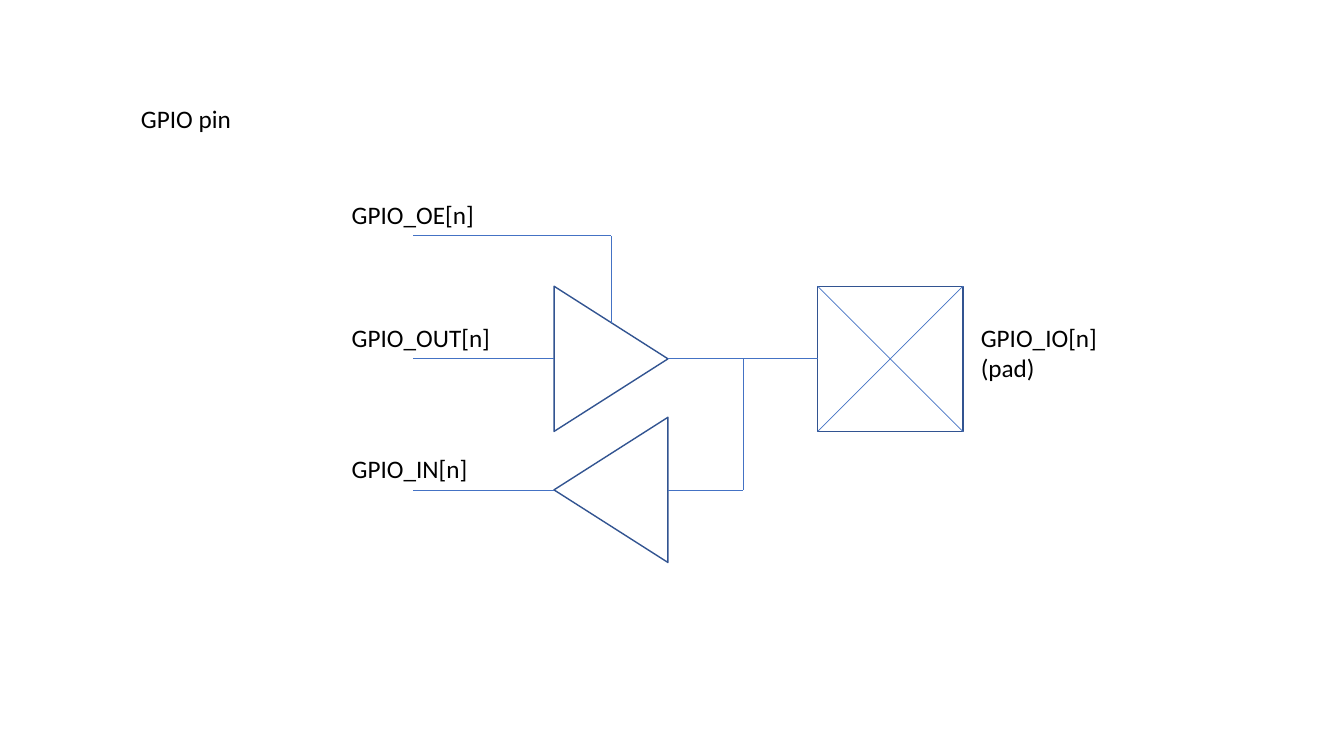
import dataclasses

import pptx
import pptx.dml.color
import pptx.enum.shapes
import pptx.enum.text
import pptx.oxml
import pptx.util

SHAPES = pptx.enum.shapes.MSO_SHAPE


@dataclasses.dataclass(frozen=True)
class Theme:
    """Colours, type and line sizes of the schematic."""
    font: str = "Calibri"
    label_size: float = 18
    ink: str = "000000"
    outline: str = "325491"
    wire: str = "4472C4"
    outline_width: float = 1
    wire_width: float = 0.5


class Schematic:
    """Draws on one slide, on a grid of tenth-inch columns and rows."""

    def __init__(self, slide, theme):
        self.slide, self.theme = slide, theme

    def cells(self, *counts):
        """Turn grid counts into lengths."""
        return [pptx.util.Inches(count / 10) for count in counts]

    def stroke(self, line, color, width):
        """Set the colour and width of a line."""
        line.color.rgb = pptx.dml.color.RGBColor.from_string(color)
        line.width = pptx.util.Pt(width)

    def symbol(self, kind, center, size, turn=0):
        """Add an unfilled shape around a centre."""
        (x, y), (width, height) = center, size
        shape = self.slide.shapes.add_shape(
            kind, *self.cells(x - width / 2, y - height / 2, width, height))
        shape.rotation = turn
        shape.shadow.inherit = False
        shape.fill.background()
        self.stroke(shape.line, self.theme.outline, self.theme.outline_width)

    def wire(self, *points):
        """Join successive points with straight connectors."""
        for start, end in zip(points, points[1:]):
            segment = self.slide.shapes.add_connector(
                pptx.enum.shapes.MSO_CONNECTOR.STRAIGHT, *self.cells(*start, *end))
            self.stroke(segment.line, self.theme.wire, self.theme.wire_width)
            segment._element.spPr.append(pptx.oxml.parse_xml(
                '<a:effectLst xmlns:a="http://schemas.openxmlformats.org/drawingml/2006/main"/>'))

    def label(self, left, top, width, *lines):
        """Add an unwrapped label with one paragraph per line."""
        height = 0.9 + 3.1 * len(lines)
        frame = self.slide.shapes.add_textbox(
            *self.cells(left, top, width, height)).text_frame
        frame.word_wrap = False
        frame.auto_size = pptx.enum.text.MSO_AUTO_SIZE.SHAPE_TO_FIT_TEXT
        for index, line in enumerate(lines):
            paragraph = frame.add_paragraph() if index else frame.paragraphs[0]
            run = paragraph.add_run()
            run.text = line
            run.font.name = self.theme.font
            run.font.size = pptx.util.Pt(self.theme.label_size)
            run.font.color.rgb = pptx.dml.color.RGBColor.from_string(self.theme.ink)


def main():
    """Build the GPIO pin schematic."""
    deck = pptx.Presentation()
    deck.slide_width = pptx.util.Inches(13.33)
    deck.slide_height = pptx.util.Inches(7.5)
    drawing = Schematic(deck.slides.add_slide(deck.slide_layouts[6]), Theme())

    enable_row, output_row, input_row = 23.4, 35.6, 48.6
    signal_start, buffer_center, junction, pad_center = 41, 60.6, 73.7, 88.3
    buffer_base, buffer_depth, pad_side = 14.4, 11.3, 14.4
    buffer_left = buffer_center - buffer_depth / 2
    buffer_right = buffer_center + buffer_depth / 2
    pad_left, pad_right = pad_center - pad_side / 2, pad_center + pad_side / 2
    pad_top, pad_bottom = output_row - pad_side / 2, output_row + pad_side / 2

    drawing.label(13, 9.8, 11, "GPIO pin")
    for row, turn in ((output_row, 90), (input_row, 270)):
        drawing.symbol(SHAPES.ISOSCELES_TRIANGLE, (buffer_center, row),
                       (buffer_base, buffer_depth), turn)
        drawing.wire((buffer_left, row), (signal_start, row))
    drawing.symbol(SHAPES.RECTANGLE, (pad_center, output_row), (pad_side, pad_side))

    drawing.wire((buffer_right, output_row), (pad_left, output_row))
    drawing.wire((buffer_right, input_row), (junction, input_row), (junction, output_row))
    drawing.wire((buffer_center, output_row - buffer_base / 4),
                 (buffer_center, enable_row), (signal_start, enable_row))
    drawing.wire((pad_left, pad_top), (pad_right, pad_bottom))
    drawing.wire((pad_left, pad_bottom), (pad_right, pad_top))

    for signal, row, width in (("GPIO_OE[n]", enable_row, 14.2),
                               ("GPIO_OUT[n]", output_row, 15.9),
                               ("GPIO_IN[n]", input_row, 13.6)):
        drawing.label(33.9, row - 4.1, width, signal)
    drawing.label(96.3, output_row - 4.1, 13.6, "GPIO_IO[n]", "(pad)")
    deck.save("out.pptx")


main()
